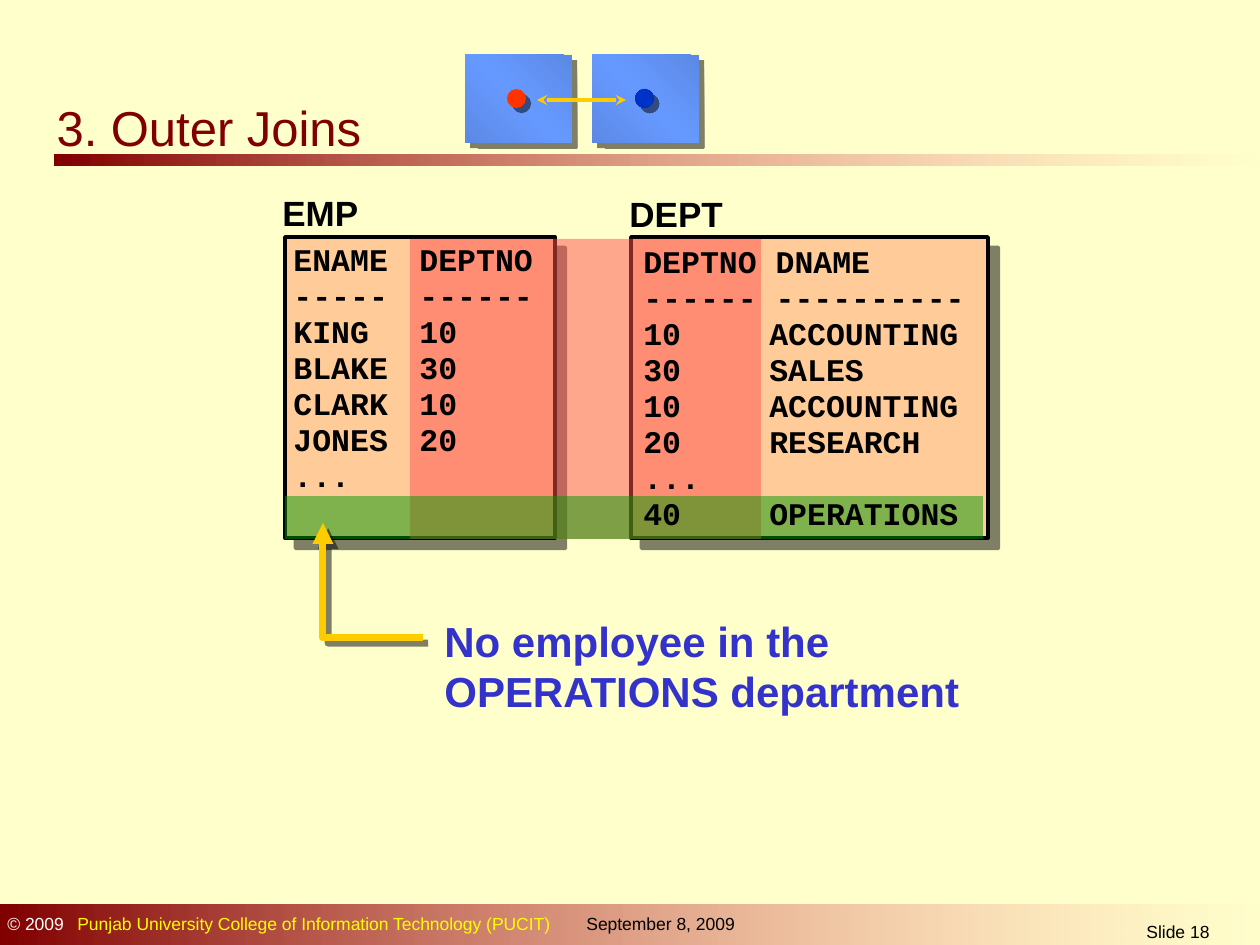
from lxml import etree
from pptx import Presentation
from pptx.dml.color import RGBColor
from pptx.enum.shapes import MSO_CONNECTOR as Connector, MSO_SHAPE as Shape
from pptx.enum.text import MSO_ANCHOR as Anchor, MSO_AUTO_SIZE as AutoSize, PP_ALIGN as Align
from pptx.oxml.ns import qn
from pptx.util import Emu, Pt

SCALE = 914400 / 126
TAB = 126
EMP_ROWS = ["ENAME\tDEPTNO", "-----\t------", "KING\t10", "BLAKE\t30",
            "CLARK\t10", "JONES\t20", "..."]
DEPT_ROWS = ["DEPTNO DNAME", "------ ----------", "10\tACCOUNTING", "30\tSALES",
             "10\tACCOUNTING", "20\tRESEARCH", "...", "40\tOPERATIONS"]
FADE = [(0, "800000", 100), (100, "FF8585", 0)]
PANEL_BLUE = [(0, "5C89E5", 100), (50, "6699FF", 100), (100, "5C89E5", 100)]
DOT_BLUE = [(0, "002EB7", 100), (50, "0033CC", 100), (100, "002EB7", 100)]


def px(value):
    return Emu(round(value * SCALE))


def color(value):
    return RGBColor.from_string(value)


def child(parent, tag, **attributes):
    element = etree.SubElement(parent, qn(tag))
    for name, value in attributes.items():
        element.set(name, str(value))
    return element


def set_alpha(color_element, percent):
    child(color_element, "a:alpha", val=percent * 1000)


def set_gradient(shape, stops, angle):
    shape.fill.solid()
    properties = shape._element.spPr
    solid = properties.find(qn("a:solidFill"))
    gradient = etree.Element(qn("a:gradFill"), rotWithShape="1")
    stop_list = child(gradient, "a:gsLst")
    for position, value, alpha in stops:
        stop = child(stop_list, "a:gs", pos=position * 1000)
        set_alpha(child(stop, "a:srgbClr", val=value), alpha)
    child(gradient, "a:lin", ang=angle * 60000, scaled=0)
    properties.replace(solid, gradient)


def set_shadow(shape, distance):
    shape.shadow.inherit = False
    if distance:
        effects = shape._element.spPr.find(qn("a:effectLst"))
        shadow = child(effects, "a:outerShdw", blurRad=0, dist=Pt(distance),
                       dir=45 * 60000, algn="tl", rotWithShape=0)
        set_alpha(child(shadow, "a:srgbClr", val="000000"), 50)


def set_line(shape, value, width, **ends):
    shape.line.color.rgb = color(value)
    shape.line.width = Pt(width)
    for tag, kind in ends.items():
        child(shape.line._get_or_add_ln(), f"a:{tag}", type=kind)


def add_block(shapes, box, fill, kind=Shape.RECTANGLE, angle=0, alpha=100,
              border=None, shadow=0):
    block = shapes.add_shape(kind, *map(px, box))
    if isinstance(fill, list):
        set_gradient(block, fill, angle)
    else:
        block.fill.solid()
        block.fill.fore_color.rgb = color(fill)
        if alpha < 100:
            set_alpha(block._element.spPr.find(".//" + qn("a:srgbClr")), alpha)
    if border:
        set_line(block, border, 2)
    else:
        block.line.fill.background()
    set_shadow(block, shadow)
    return block


def add_run(paragraph, text, size, value, bold=False, font="Arial"):
    run = paragraph.add_run()
    run.text = text
    run.font.name = font
    run.font.size = Pt(size)
    run.font.bold = bold
    run.font.color.rgb = color(value)


def set_tab(paragraph, position):
    tabs = child(paragraph._p.get_or_add_pPr(), "a:tabLst")
    child(tabs, "a:tab", pos=px(position), algn="l")


def add_text_box(shapes, box):
    frame = shapes.add_textbox(*map(px, box)).text_frame
    frame.word_wrap = True
    return frame


def add_label(shapes, box, text, size, value, bold=False):
    paragraph = add_text_box(shapes, box).paragraphs[0]
    for index, line in enumerate(text.split("\n")):
        if index:
            paragraph.add_line_break()
        add_run(paragraph, line, size, value, bold)
    return paragraph


def add_listing(shapes, box, rows):
    frame = add_text_box(shapes, box)
    for index, row in enumerate(rows):
        paragraph = frame.add_paragraph() if index else frame.paragraphs[0]
        set_tab(paragraph, TAB)
        paragraph.line_spacing = 0.95
        add_run(paragraph, row, 18, "000000", True, "Courier New")


def add_title(slide):
    title = slide.shapes.title
    title.left, title.top, title.width, title.height = map(px, (44, 91, 407, 64))
    frame = title.text_frame
    frame.auto_size = AutoSize.NONE
    frame.vertical_anchor = Anchor.TOP
    frame.margin_top, frame.margin_bottom = px(7), 0
    frame.paragraphs[0].alignment = Align.LEFT
    add_run(frame.paragraphs[0], "3. Outer Joins", 28, "800000")


def add_footer(shapes):
    add_block(shapes, (0, 905, 1264, 44), FADE)
    paragraph = add_label(shapes, (-5, 907, 814, 34), "© 2009", 10, "FFFFFF")
    set_tab(paragraph, 70)
    add_run(paragraph, "\tPunjab University College of Information Technology (PUCIT)",
            10, "FFFF00")
    add_label(shapes, (574, 907, 195, 34), "September 8, 2009", 10, "000000")
    number = add_label(shapes, (1047, 915, 262, 30), "Slide 18", 10, "000000")
    number.alignment = Align.CENTER


def add_callout(slide):
    group = slide.shapes.add_group_shape().shapes
    add_label(group, (432, 609, 643, 113),
              "No employee in the\nOPERATIONS department", 24, "3333CC", True)
    builder = group.build_freeform(px(423), px(638))
    builder.add_line_segments([(px(323), px(638)), (px(323), px(523))], close=False)
    arrow = builder.convert_to_shape()
    arrow.fill.background()
    set_line(arrow, "FFCC00", 4, tailEnd="triangle")
    set_shadow(arrow, 4.2)


def add_join_icon(slide):
    group = slide.shapes.add_group_shape().shapes
    for left in (465, 592):
        add_block(group, (left, 55, 107, 88), PANEL_BLUE, angle=315, shadow=4.2)
    for left, fill in ((507, "FF3300"), (635, DOT_BLUE)):
        add_block(group, (left, 89, 19, 19), fill, Shape.OVAL, angle=315, shadow=4.2)
    link = group.add_connector(Connector.STRAIGHT, px(537), px(100), px(626), px(100))
    set_line(link, "FFCC00", 2, headEnd="stealth", tailEnd="stealth")
    child(link._element.spPr, "a:effectLst")


def main():
    presentation = Presentation()
    presentation.slide_width, presentation.slide_height = px(1260), px(945)
    slide = presentation.slides.add_slide(presentation.slide_layouts[5])
    slide.background.fill.solid()
    slide.background.fill.fore_color.rgb = color("FFFFCC")
    shapes = slide.shapes

    # Header and footer
    add_block(shapes, (54, 155, 1206, 11), FADE)
    add_footer(shapes)
    add_title(slide)

    # Table frames and names
    for left, width in ((285, 270), (631, 357)):
        add_block(shapes, (left, 237, width, 301), "FFCC99", border="000000", shadow=8.5)
    add_label(shapes, (270, 185, 111, 54), "EMP", 20, "000000", True)
    add_label(shapes, (617, 186, 129, 54), "DEPT", 20, "000000", True)

    # Shared column and unmatched row
    add_block(shapes, (410, 239, 351, 300), "FF5050", alpha=50)
    add_block(shapes, (285, 496, 698, 43), "009900", alpha=50)

    # Callout, rows and join icon
    add_callout(slide)
    add_listing(shapes, (281, 237, 273, 300), EMP_ROWS)
    add_listing(shapes, (631, 239, 353, 300), DEPT_ROWS)
    add_join_icon(slide)

    presentation.save("out.pptx")


if __name__ == "__main__":
    main()
